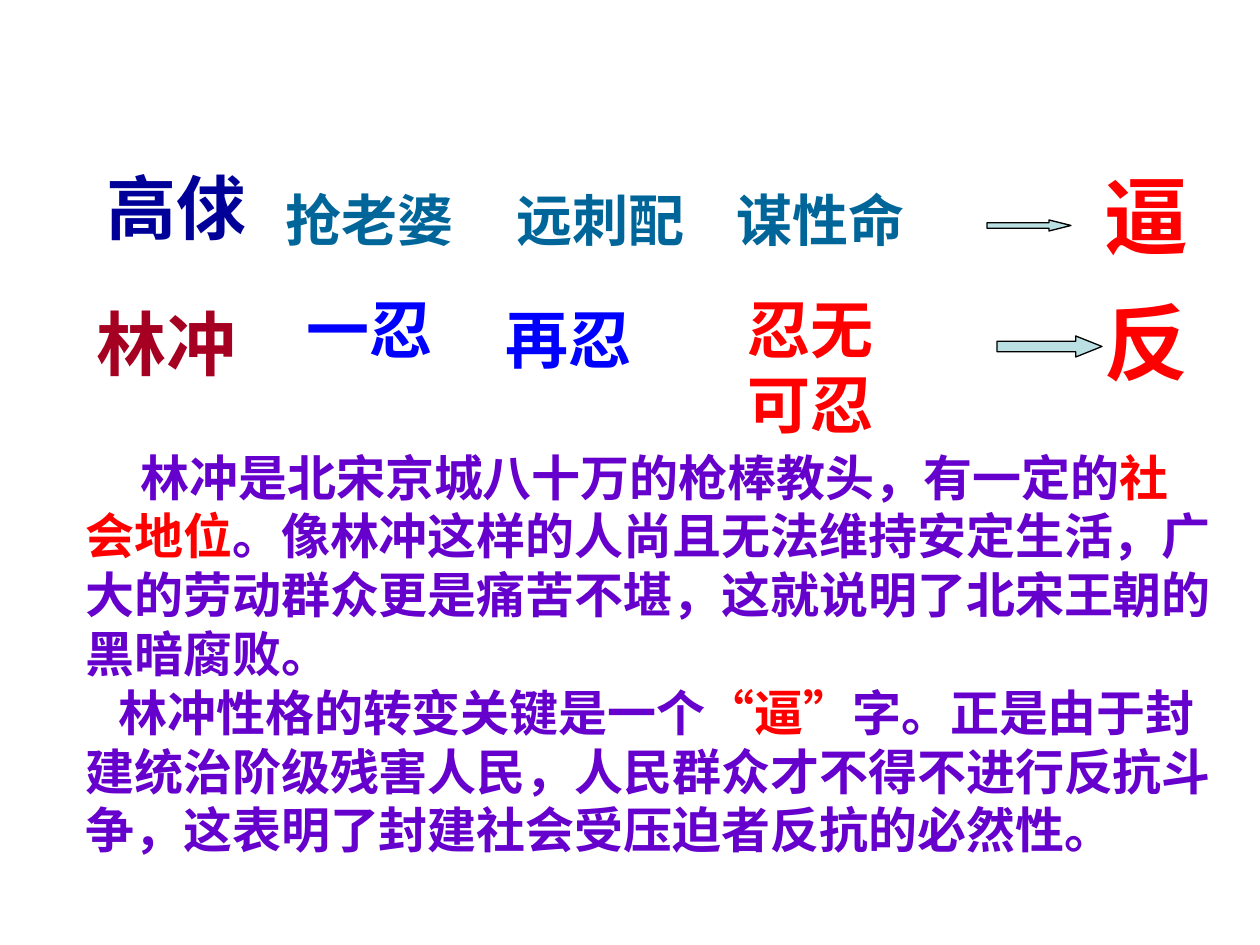
from dataclasses import dataclass

from pptx import Presentation
from pptx.dml.color import RGBColor as RGB
from pptx.enum.shapes import MSO_SHAPE as Shape
from pptx.enum.text import MSO_AUTO_SIZE as AutoSize
from pptx.oxml.ns import qn
from pptx.util import Emu, Pt


@dataclass(frozen=True)
class Theme:
    navy: str = "000099"
    maroon: str = "A50021"
    teal: str = "006699"
    blue: str = "0000FF"
    red: str = "FF0000"
    purple: str = "6600CC"
    arrow: str = "BBE0E3"
    outline: str = "000000"
    serif: str = "Times New Roman"
    sans: str = "Noto Sans CJK SC"
    name: int = 40
    deed: int = 32
    response: int = 36
    outcome: int = 48
    body: int = 28


theme = Theme()
SCALE = 914400 / 126


def px(length):
    return Emu(round(length * SCALE))


def write(paragraph, text, *, size, color, font=theme.serif):
    run = paragraph.add_run()
    run.text = text
    run.font.size = Pt(size)
    run.font.bold = True
    run.font.name = font
    run.font.color.rgb = RGB.from_string(color)
    properties = run._r.get_or_add_rPr()
    properties.set("lang", "zh-CN")
    east_asian = properties.makeelement(qn("a:ea"), {"typeface": theme.sans})
    properties.find(qn("a:latin")).addnext(east_asian)
    paragraph.line_spacing = Pt(size * 1.2)


prs = Presentation()
prs.slide_width, prs.slide_height = px(1260), px(945)
slide = prs.slides.add_slide(prs.slide_layouts[6])

labels = [
    ("林冲", 84, 294, 180, 97, theme.name, theme.maroon),
    ("高俅", 94, 158, 189, 97, theme.name, theme.navy),
    ("抢老婆", 273, 179, 223, 81, theme.deed, theme.teal),
    ("远刺配", 504, 179, 233, 81, theme.deed, theme.teal),
    ("谋性命", 724, 179, 210, 81, theme.deed, theme.teal),
    ("逼", 1092, 158, 126, 113, theme.outcome, theme.red),
    ("一忍", 294, 284, 168, 88, theme.response, theme.blue),
    ("再忍", 493, 294, 231, 88, theme.response, theme.blue),
    ("忍无可忍", 735, 284, 199, 164, theme.response, theme.red),
    ("反", 1092, 284, 147, 113, theme.outcome, theme.red),
]
for text, left, top, width, height, size, color in labels:
    frame = slide.shapes.add_textbox(px(left), px(top), px(width), px(height)).text_frame
    frame.word_wrap = True
    frame.auto_size = AutoSize.SHAPE_TO_FIT_TEXT
    write(frame.paragraphs[0], text, size=size, color=color)

for left, top, width, height, head in [(987, 220, 84, 11, 2), (997, 336, 105, 21, 1.25)]:
    arrow = slide.shapes.add_shape(Shape.RIGHT_ARROW, px(left), px(top), px(width), px(height))
    arrow.shadow.inherit = False
    arrow.adjustments[1] = head
    arrow.fill.solid()
    arrow.fill.fore_color.rgb = RGB.from_string(theme.arrow)
    arrow.line.color.rgb = RGB.from_string(theme.outline)
    arrow.line.width = Pt(0.75)

commentary = [
    (55, [
        ("林冲是北宋京城八十万的枪棒教头，有一定的", theme.purple, theme.sans),
        ("社会地位", theme.red, theme.sans),
        ("。像林冲这样的人尚且无法维持安定生活，广大的劳动群众更是痛苦不堪，"
         "这就说明了北宋王朝的黑暗腐败。", theme.purple, theme.sans),
    ]),
    (33, [
        ("林冲性格的转变关键是一个", theme.purple, theme.sans),
        ("“", theme.red, theme.serif),
        ("逼", theme.red, theme.sans),
        ("”", theme.red, theme.serif),
        ("字。正是由于封建统治阶级残害人民，人民群众才不得不进行反抗斗争，"
         "这表明了封建社会受压迫者反抗的必然性。", theme.purple, theme.sans),
    ]),
]
frame = slide.shapes.add_textbox(px(73), px(441), px(1155), px(425)).text_frame
frame.word_wrap = True
frame.auto_size = AutoSize.SHAPE_TO_FIT_TEXT
for number, (indent, pieces) in enumerate(commentary):
    paragraph = frame.add_paragraph() if number else frame.paragraphs[0]
    paragraph._p.get_or_add_pPr().set("indent", str(px(indent)))
    for text, color, font in pieces:
        write(paragraph, text, size=theme.body, color=color, font=font)

prs.save("out.pptx")
